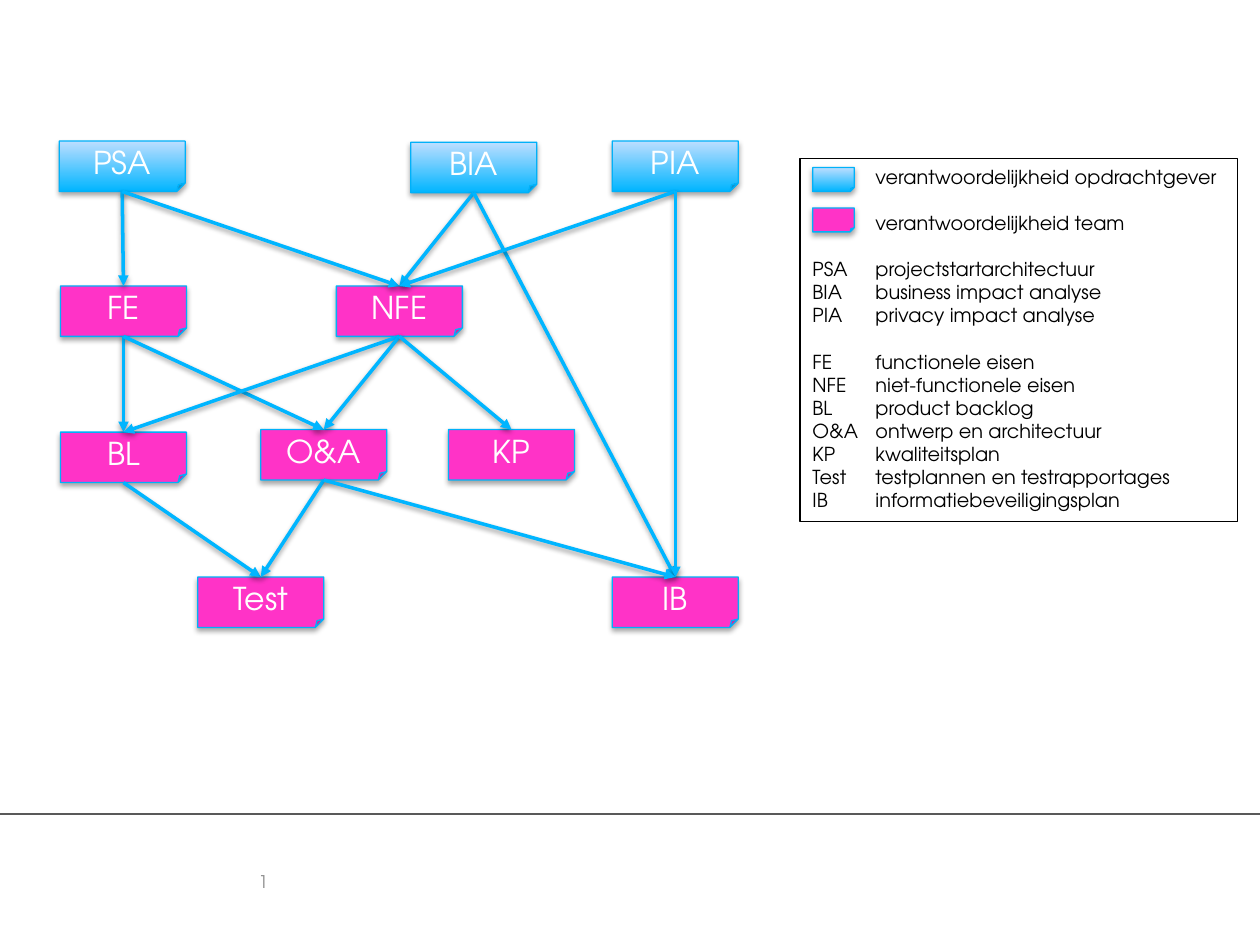
"""Build a slide that maps project documents, their dependencies and their owners."""
import lxml.etree
import pptx
import pptx.dml.color
import pptx.enum.shapes
import pptx.enum.text
import pptx.oxml.ns
import pptx.util

Inches = pptx.util.Inches
Pt = pptx.util.Pt
RGBColor = pptx.dml.color.RGBColor
MSO_SHAPE = pptx.enum.shapes.MSO_SHAPE
STRAIGHT = pptx.enum.shapes.MSO_CONNECTOR.STRAIGHT
PP_ALIGN = pptx.enum.text.PP_ALIGN
MSO_ANCHOR = pptx.enum.text.MSO_ANCHOR
qn = pptx.oxml.ns.qn

FONT = "TeX Gyre Adventor"
WHITE = RGBColor(0xFF, 0xFF, 0xFF)
BLACK = RGBColor(0x00, 0x00, 0x00)
GREY = RGBColor(0x8C, 0x8C, 0x8C)
DARK_GREY = RGBColor(0x59, 0x59, 0x59)
BLUE = RGBColor(0x00, 0xB5, 0xFF)
PALE_BLUE = RGBColor(0xBD, 0xDE, 0xFF)
EDGE_BLUE = RGBColor(0x00, 0xB1, 0xF9)
PINK = RGBColor(0xFF, 0x33, 0xC7)


def write(paragraph, text, size, color, align=PP_ALIGN.LEFT, before=0, spacing=None):
    paragraph.alignment = align
    paragraph.space_before = Pt(before)
    if spacing:
        paragraph.line_spacing = Pt(spacing)
    run = paragraph.add_run()
    run.text = text
    run.font.name = FONT
    run.font.size = Pt(size)
    run.font.color.rgb = color


def cast_shadow(effects, distance, opacity):
    shadow = lxml.etree.SubElement(
        effects, qn("a:outerShdw"), blurRad=str(Pt(3.1)), dist=str(Pt(distance)),
        dir="5400000", rotWithShape="0")
    tone = lxml.etree.SubElement(shadow, qn("a:srgbClr"), val=str(BLACK))
    lxml.etree.SubElement(tone, qn("a:alpha"), val=str(opacity * 1000))


presentation = pptx.Presentation()
presentation.slide_width = Inches(10)
presentation.slide_height = Inches(7.5)
slide = presentation.slides.add_slide(presentation.slide_layouts[6])
shapes = slide.shapes

footer_rule = shapes.add_connector(STRAIGHT, 0, Inches(6.46), Inches(10), Inches(6.46))
footer_rule.line.color.rgb = DARK_GREY
footer_rule.line.width = Pt(1)
lxml.etree.SubElement(footer_rule.element.spPr, qn("a:effectLst"))

page_number = shapes.add_textbox(Inches(2.05), Inches(6.91), Inches(0.59), Inches(0.22)).text_frame
page_number.word_wrap = True
page_number.margin_left = page_number.margin_right = 0
page_number.margin_top = page_number.margin_bottom = 0
write(page_number.paragraphs[0], "1", 10, GREY, spacing=12)

legend = shapes.add_shape(MSO_SHAPE.RECTANGLE, Inches(6.35), Inches(1.26), Inches(3.47), Inches(2.88))
legend.shadow.inherit = False
legend.fill.background()
legend.line.color.rgb = BLACK
legend.line.width = Pt(0.75)
legend.text_frame.vertical_anchor = MSO_ANCHOR.TOP

LINE_GAP = 13.2
legend_entries = [
    ("", "verantwoordelijkheid opdrachtgever", 0),
    ("", "verantwoordelijkheid team", LINE_GAP),
    ("PSA", "projectstartarchitectuur", LINE_GAP),
    ("BIA", "business impact analyse", 0),
    ("PIA", "privacy impact analyse", 0),
    ("FE", "functionele eisen", LINE_GAP),
    ("NFE", "niet-functionele eisen", 0),
    ("BL", "product backlog", 0),
    ("O&A", "ontwerp en architectuur", 0),
    ("KP", "kwaliteitsplan", 0),
    ("Test", "testplannen en testrapportages", 0),
    ("IB", "informatiebeveiligingsplan", 0),
]
for index, (abbreviation, meaning, gap) in enumerate(legend_entries):
    entry = legend.text_frame.paragraphs[0] if index == 0 else legend.text_frame.add_paragraph()
    write(entry, f"{abbreviation}\t{meaning}", 11, BLACK, before=gap)
    tabs = lxml.etree.SubElement(entry._p.get_or_add_pPr(), qn("a:tabLst"))
    lxml.etree.SubElement(tabs, qn("a:tab"), pos=str(Inches(0.5)), algn="l")

DOCUMENT_SIZE = (1, 0.4)
SWATCH_SIZE = (0.33, 0.19)
cards = [
    ("PSA", 0.47, 1.12, DOCUMENT_SIZE, True),
    ("BIA", 3.26, 1.13, DOCUMENT_SIZE, True),
    ("PIA", 4.86, 1.12, DOCUMENT_SIZE, True),
    ("FE", 0.48, 2.27, DOCUMENT_SIZE, False),
    ("NFE", 2.67, 2.27, DOCUMENT_SIZE, False),
    ("BL", 0.48, 3.43, DOCUMENT_SIZE, False),
    ("O&A", 2.07, 3.41, DOCUMENT_SIZE, False),
    ("KP", 3.56, 3.41, DOCUMENT_SIZE, False),
    ("Test", 1.57, 4.58, DOCUMENT_SIZE, False),
    ("IB", 4.86, 4.58, DOCUMENT_SIZE, False),
    ("", 6.45, 1.33, SWATCH_SIZE, True),
    ("", 6.45, 1.65, SWATCH_SIZE, False),
]
documents = {}
for label, left, top, (width, height), client_owned in cards:
    card = shapes.add_shape(
        MSO_SHAPE.FOLDED_CORNER, Inches(left), Inches(top), Inches(width), Inches(height))
    if client_owned:
        card.fill.gradient()
        card.fill.gradient_angle = 90
        for stop, color in zip(card.fill.gradient_stops, (BLUE, PALE_BLUE)):
            stop.color.rgb = color
    else:
        card.fill.solid()
        card.fill.fore_color.rgb = PINK
    card.line.color.rgb = EDGE_BLUE
    card.line.width = Pt(0.75)
    card.shadow.inherit = False
    cast_shadow(card.element.spPr.find(qn("a:effectLst")), 1.8, 35)
    if label:
        card.text_frame.vertical_anchor = MSO_ANCHOR.MIDDLE
        write(card.text_frame.paragraphs[0], label, 18, WHITE, align=PP_ALIGN.CENTER)
        documents[label] = card

dependencies = {
    "PSA": ["FE", "NFE"],
    "BIA": ["NFE", "IB"],
    "PIA": ["NFE", "IB"],
    "FE": ["BL", "O&A"],
    "NFE": ["BL", "O&A", "KP"],
    "BL": ["Test"],
    "O&A": ["Test", "IB"],
}
for source, targets in dependencies.items():
    for target in targets:
        arrow = shapes.add_connector(STRAIGHT, 0, 0, 0, 0)
        arrow.begin_connect(documents[source], 2)
        arrow.end_connect(documents[target], 0)
        arrow.line.color.rgb = BLUE
        arrow.line.width = Pt(2)
        properties = arrow.element.spPr
        lxml.etree.SubElement(properties.find(qn("a:ln")), qn("a:tailEnd"), type="triangle")
        cast_shadow(lxml.etree.SubElement(properties, qn("a:effectLst")), 1.6, 38)

presentation.save("out.pptx")
